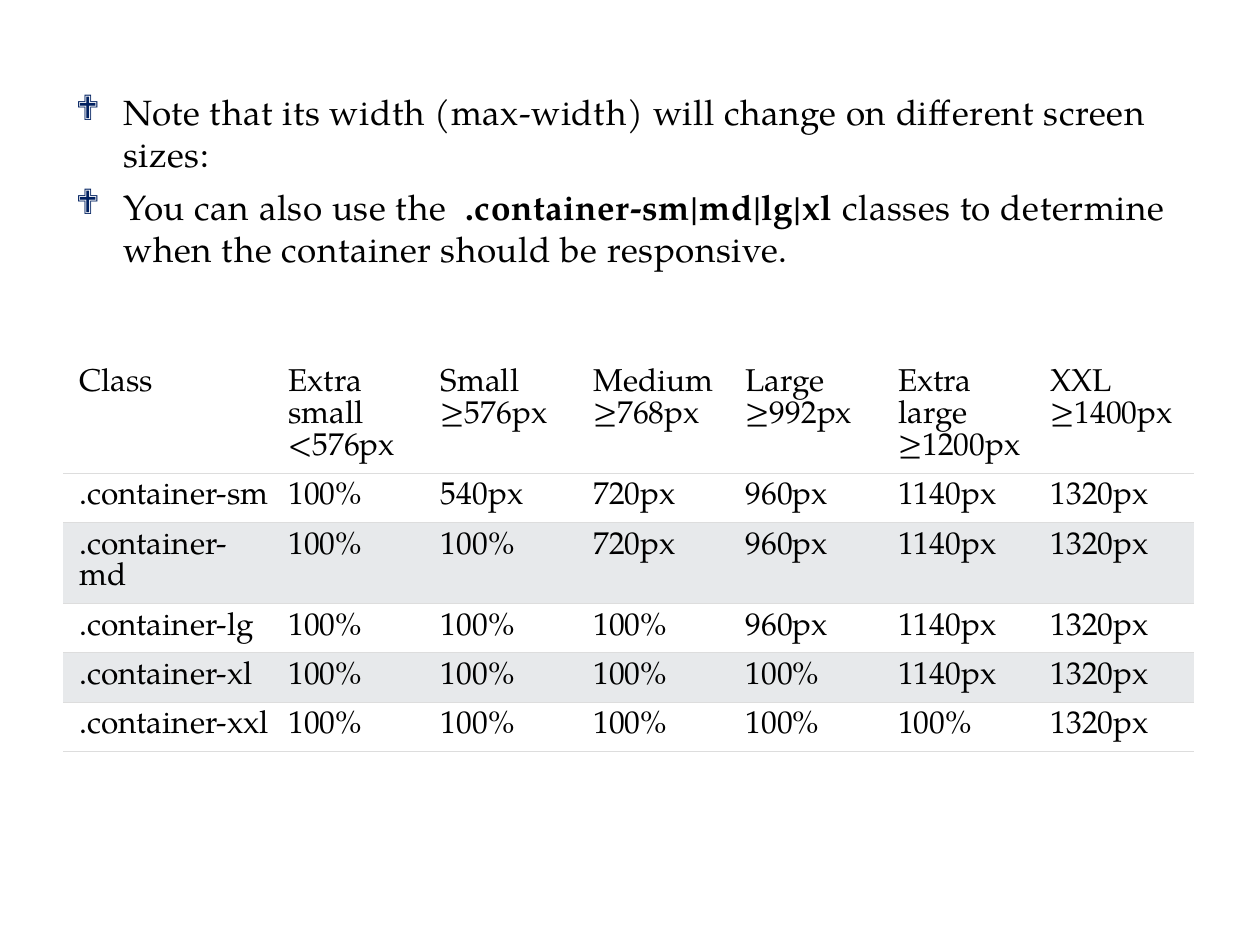
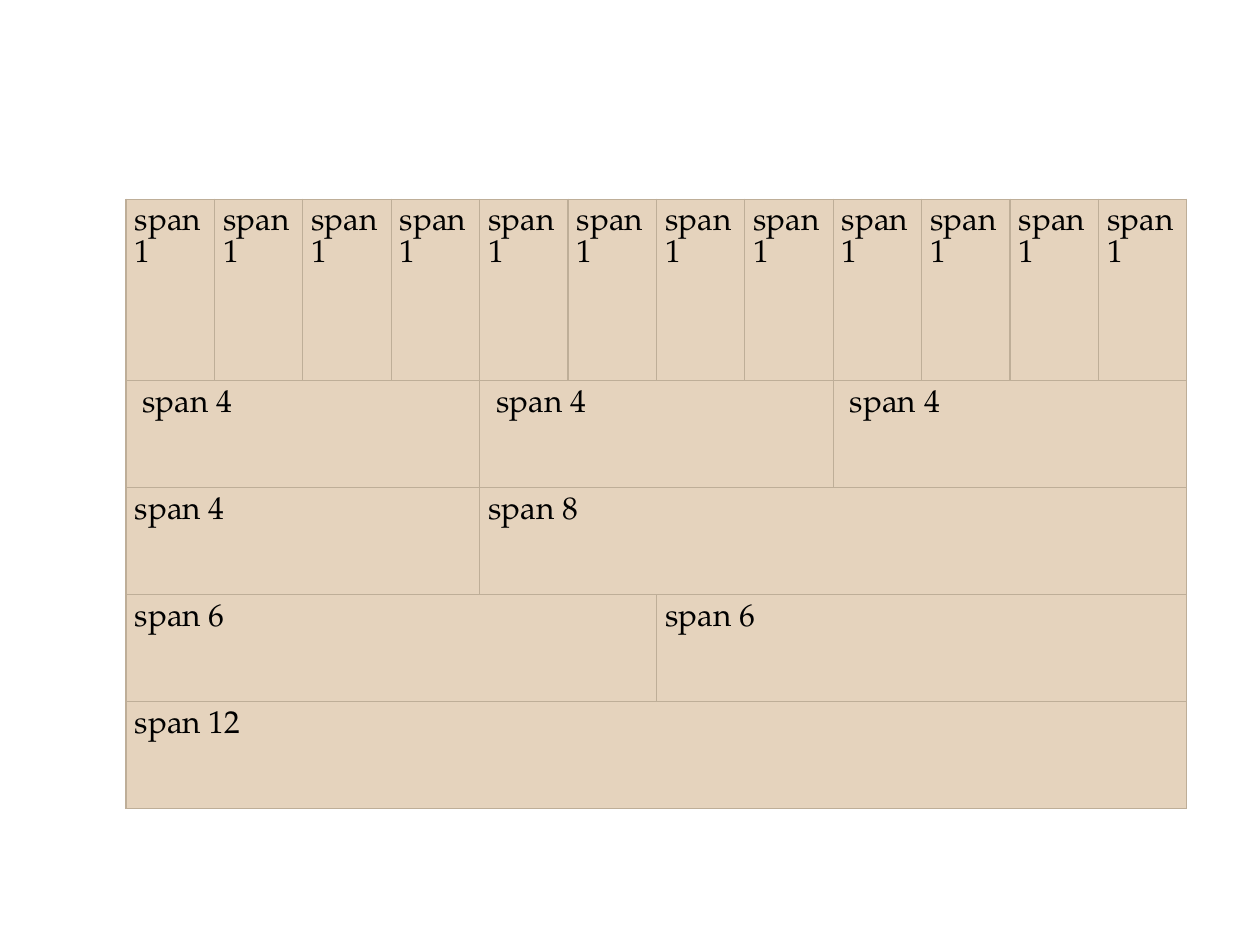
from dataclasses import dataclass

from lxml import etree
from pptx import Presentation
from pptx import util as u
from pptx.dml.color import RGBColor
from pptx.enum import text
from pptx.oxml.ns import qn


@dataclass(frozen=True)
class Theme:
    font: str = "TeX Gyre Pagella"
    ink: str = "000000"
    bullet: str = "002060"
    paper: str = "FFFFFF"
    band: str = "E7E9EB"
    rule: str = "DDDDDD"
    rule_width: float = 0.6
    grid_fill: str = "E5D3BD"
    grid_line: str = "BEAE98"
    grid_width: float = 0.75
    body_size: int = 20
    table_size: int = 18
    inset: float = 0.07
    first_inset: float = 0.13


THEME = Theme()
TITLE_AND_CONTENT, BLANK = 1, 6

NOTES = [
    [("Note that its width (max-width) will change on different screen sizes:", False)],
    [
        ("You can also use the ", False),
        (" .container-sm|md|lg|xl", True),
        ("\u00a0classes to determine when the container should be responsive.", False),
    ],
]
BREAKPOINTS = [
    "Class", "Extra small\v<576px", "Small\v≥576px", "Medium\v≥768px",
    "Large\v≥992px", "Extra large\v≥1200px", "XXL\v≥1400px",
]
SIZES = ["sm", "md", "lg", "xl", "xxl"]
WIDTHS = ["540px", "720px", "960px", "1140px", "1320px"]
SPANS = [("", [1] * 12), ("\u00a0", [4, 4, 4]), ("", [4, 8]), ("", [6, 6]), ("", [12])]


def apply(target, values):
    for name, value in values.items():
        setattr(target, name, value)


def style_span(span, size, bold=False):
    apply(span.font, {"name": THEME.font, "size": u.Pt(size), "bold": bold})
    span.font.color.rgb = RGBColor.from_string(THEME.ink)


def add_bullet(para):
    indent = u.Inches(0.38)
    props = para._p.get_or_add_pPr()
    props.set("marL", str(indent))
    props.set("indent", str(-indent))
    colour = etree.SubElement(props, qn("a:buClr"))
    etree.SubElement(colour, qn("a:srgbClr"), val=THEME.bullet)
    etree.SubElement(props, qn("a:buFont"), typeface="Wingdings")
    etree.SubElement(props, qn("a:buChar"), char="❖")


def set_borders(cell, sides, colour, width):
    props = cell._tc.get_or_add_tcPr()
    for side in "LRTB":
        line = etree.SubElement(props, qn(f"a:ln{side}"), w=str(u.Pt(width)))
        if side in sides:
            fill = etree.SubElement(line, qn("a:solidFill"))
            etree.SubElement(fill, qn("a:srgbClr"), val=colour)
        else:
            etree.SubElement(line, qn("a:noFill"))


def style_cell(cell, fill, sides, colour, width, left=THEME.inset):
    inset = u.Inches(THEME.inset)
    apply(cell, {
        "margin_left": u.Inches(left), "margin_right": inset,
        "margin_top": inset, "margin_bottom": inset,
        "vertical_anchor": text.MSO_ANCHOR.TOP,
    })
    set_borders(cell, sides, colour, width)
    cell.fill.solid()
    cell.fill.fore_color.rgb = RGBColor.from_string(fill)


def write_cell(cell, words):
    para = cell.text_frame.paragraphs[0]
    para.text = words
    for span in para.runs:
        style_span(span, THEME.table_size)


def add_plain_table(page, left, top, columns, rows):
    box = [u.Inches(n) for n in (left, top, sum(columns), sum(rows))]
    table = page.shapes.add_table(len(rows), len(columns), *box).table
    apply(table, {"first_row": False, "horz_banding": False})
    for column, width in zip(table.columns, columns):
        column.width = u.Inches(width)
    for row, height in zip(table.rows, rows):
        row.height = u.Inches(height)
    return table


def fill_notes(page, left, top, width, height):
    body = page.placeholders[1]
    apply(body, {
        "left": u.Inches(left), "top": u.Inches(top),
        "width": u.Inches(width), "height": u.Inches(height),
    })
    frame = body.text_frame
    for index, parts in enumerate(NOTES):
        para = frame.add_paragraph() if index else frame.paragraphs[0]
        para.space_before = u.Pt(6)
        add_bullet(para)
        for words, bold in parts:
            span = para.add_run()
            span.text = words
            style_span(span, THEME.body_size, bold)
            span.font._element.set("spc", "30")


def add_width_table(page, left, top):
    records = [BREAKPOINTS]
    for index, size in enumerate(SIZES):
        full = ["100%"] * (index + 1)
        records.append([f".container-{size}", *full, *WIDTHS[index:]])
    columns = [1.72] + [1.21] * 6
    rows = [0.89, 0.38, 0.64, 0.38, 0.38, 0.38]
    table = add_plain_table(page, left, top, columns, rows)
    for r, record in enumerate(records):
        fill = THEME.band if r and r % 2 == 0 else THEME.paper
        for c, words in enumerate(record):
            cell = table.cell(r, c)
            style_cell(cell, fill, "TB" if r else "B", THEME.rule, THEME.rule_width,
                       THEME.inset if c else THEME.first_inset)
            write_cell(cell, words)


def add_span_grid(page, left, top):
    table = add_plain_table(page, left, top, [8.42 / 12] * 12, [1.44] + [0.85] * 4)
    for cell in table.iter_cells():
        style_cell(cell, THEME.grid_fill, "LRTB", THEME.grid_line, THEME.grid_width)
    for r, (lead, spans) in enumerate(SPANS):
        start = 0
        for count in spans:
            cell = table.cell(r, start)
            if count > 1:
                cell.merge(table.cell(r, start + count - 1))
            write_cell(cell, f"{lead}span {count}")
            start += count


def build_container_page(deck):
    page = deck.slides.add_slide(deck.slide_layouts[TITLE_AND_CONTENT])
    title = page.shapes.title._element
    title.getparent().remove(title)
    fill_notes(page, 0.5, 0.67, 9.33, 6.5)
    add_width_table(page, 0.5, 2.86)


def build_grid_page(deck):
    page = deck.slides.add_slide(deck.slide_layouts[BLANK])
    add_span_grid(page, 1, 1.58)


def main():
    deck = Presentation()
    apply(deck, {"slide_width": u.Inches(10), "slide_height": u.Inches(7.5)})
    build_container_page(deck)
    build_grid_page(deck)
    deck.save("out.pptx")


if __name__ == "__main__":
    main()
